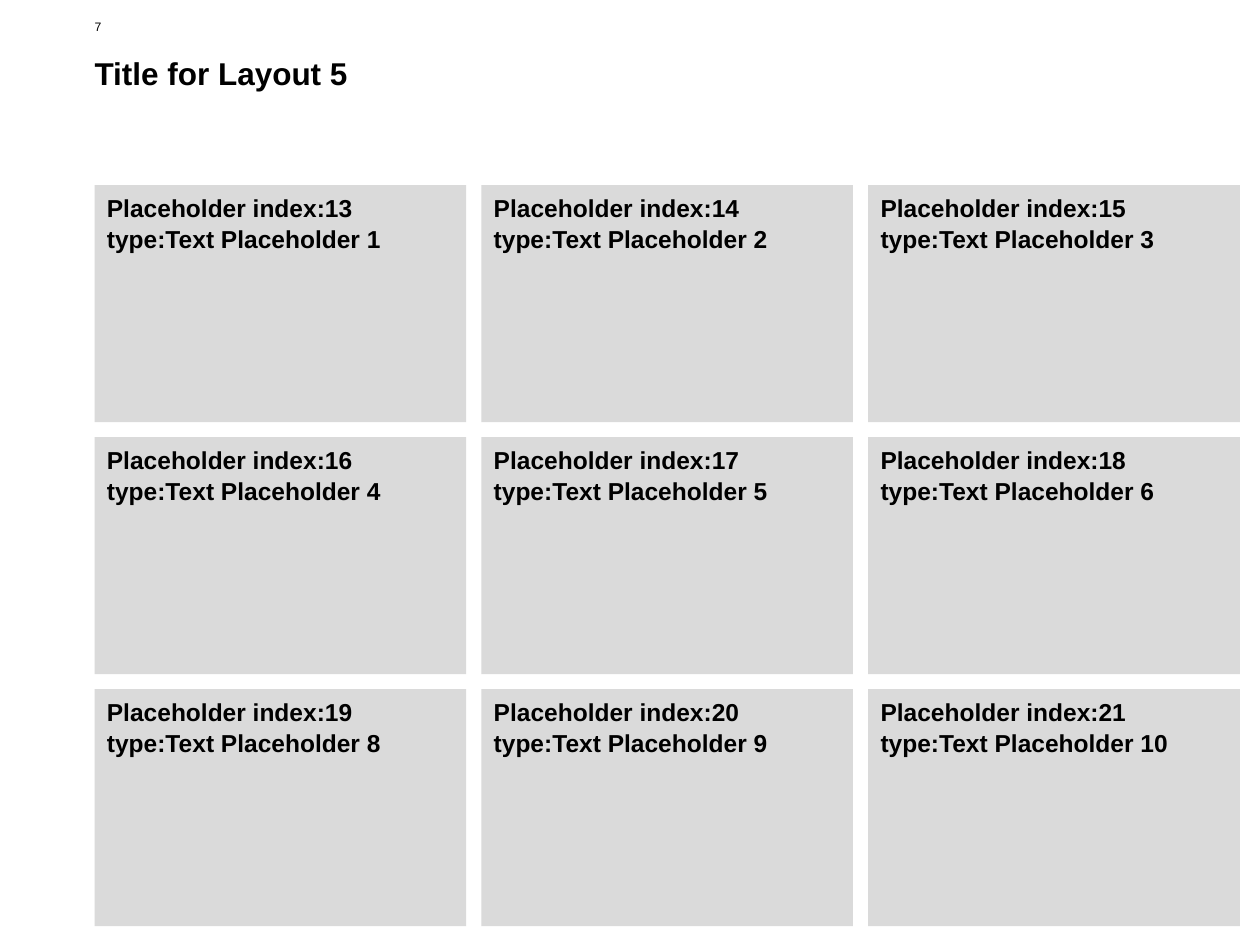
from pptx import Presentation
from pptx.dml.color import RGBColor
from pptx.enum.shapes import MSO_SHAPE
from pptx.enum.text import MSO_ANCHOR, MSO_AUTO_SIZE, PP_ALIGN
from pptx.util import Inches, Pt

RECTANGLE = MSO_SHAPE.RECTANGLE
TOP = MSO_ANCHOR.TOP
MIDDLE = MSO_ANCHOR.MIDDLE
LEFT = PP_ALIGN.LEFT
NO_AUTOFIT = MSO_AUTO_SIZE.NONE

BLACK = RGBColor(0x00, 0x00, 0x00)
PANEL_GRAY = RGBColor(0xDA, 0xDA, 0xDA)

TITLE_ONLY = 5
MARGIN = 0.75
GRID_TOP = 1.47
COLUMNS = 3
PANEL_WIDTH, PANEL_HEIGHT = 2.95, 1.88
GAP = 0.12
FIRST_INDEX = 13
PANEL_NUMBERS = (1, 2, 3, 4, 5, 6, 8, 9, 10)


def write_text(holder, text, size, bold=False, anchor=TOP, inset=(0, 0), spacing=1.0):
    frame = holder.text_frame
    frame.word_wrap = True
    frame.auto_size = NO_AUTOFIT
    frame.vertical_anchor = anchor
    frame.margin_left = frame.margin_right = Inches(inset[0])
    frame.margin_top = frame.margin_bottom = Inches(inset[1])
    paragraph = frame.paragraphs[0]
    paragraph.alignment = LEFT
    paragraph.line_spacing = spacing
    run = paragraph.add_run()
    run.text = text
    run.font.name = "Arial"
    run.font.size = Pt(size)
    run.font.bold = bold
    run.font.color.rgb = BLACK


def add_page_number(slide, number):
    page_number = slide.shapes.add_textbox(
        Inches(MARGIN), Inches(0.13), Inches(0.35), Inches(0.17))
    write_text(page_number, number, 7, anchor=MIDDLE)


def set_title(slide, text):
    title = slide.shapes.title
    title.left, title.top = Inches(MARGIN), Inches(0.4)
    title.width, title.height = Inches(9.1), Inches(0.67)
    write_text(title, text, 18, bold=True, spacing=1.1)


def add_panel(slide, position, number):
    row, column = divmod(position, COLUMNS)
    panel = slide.shapes.add_shape(
        RECTANGLE,
        Inches(MARGIN + column * (PANEL_WIDTH + GAP)),
        Inches(GRID_TOP + row * (PANEL_HEIGHT + GAP)),
        Inches(PANEL_WIDTH), Inches(PANEL_HEIGHT))
    panel.shadow.inherit = False
    panel.fill.solid()
    panel.fill.fore_color.rgb = PANEL_GRAY
    panel.line.fill.background()
    label = f"Placeholder index:{FIRST_INDEX + position} type:Text Placeholder {number}"
    write_text(panel, label, 14, bold=True, inset=(0.1, 0.05), spacing=1.05)


def main():
    deck = Presentation()
    deck.slide_width, deck.slide_height = Inches(10), Inches(7.5)
    slide = deck.slides.add_slide(deck.slide_layouts[TITLE_ONLY])
    add_page_number(slide, "7")
    set_title(slide, "Title for Layout 5")
    for position, number in enumerate(PANEL_NUMBERS):
        add_panel(slide, position, number)
    deck.save("out.pptx")


if __name__ == "__main__":
    main()
